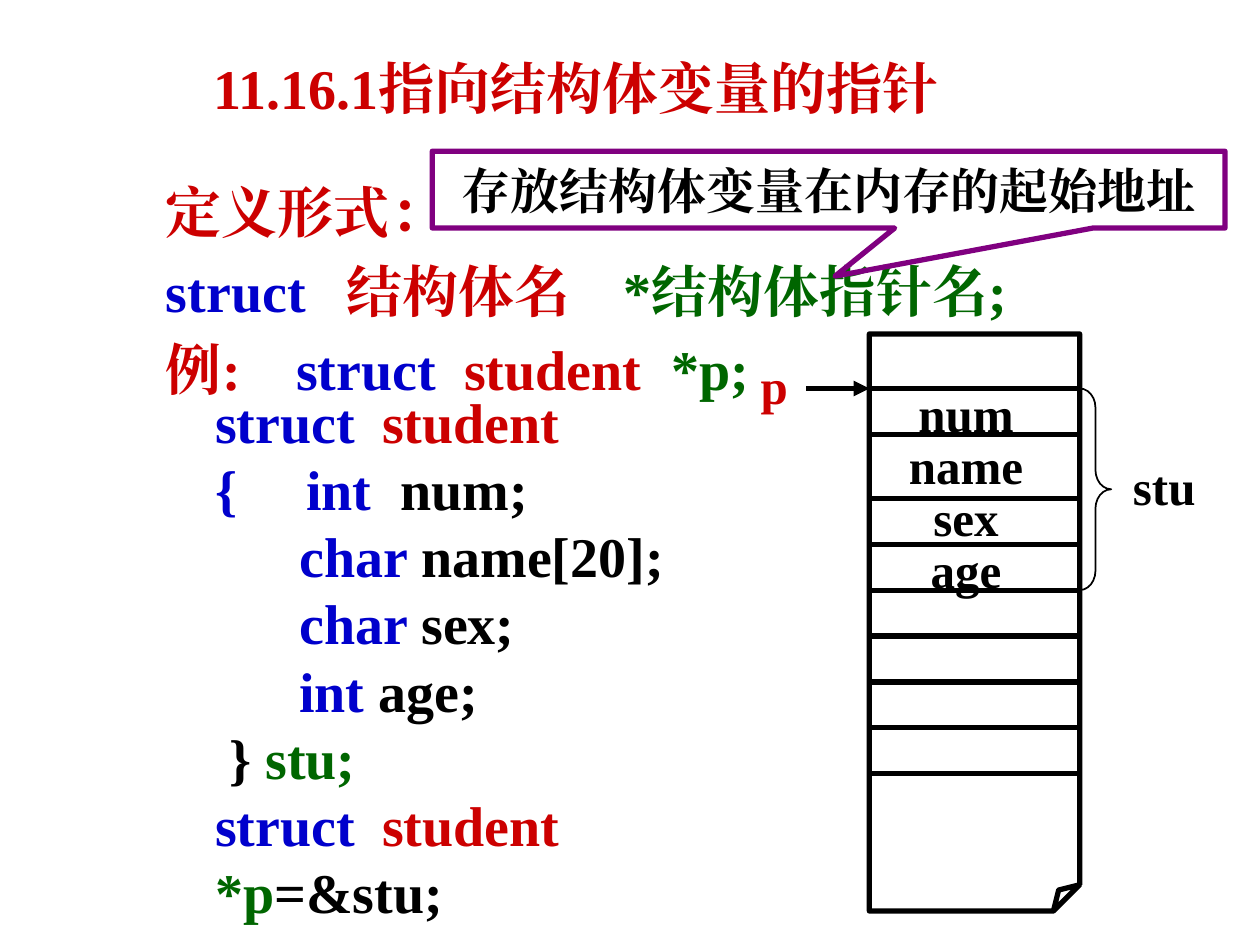
"""Build a slide on pointers to structure variables, with a memory diagram."""
from lxml import etree
from pptx import Presentation
from pptx import util as u
from pptx.dml.color import RGBColor
from pptx.enum import shapes, text
from pptx.oxml import ns

FONT = "Times New Roman"
BLACK, RED, BLUE, GREEN, PURPLE = "000000", "CC0000", "0000CC", "006600", "800080"


def color(value):
    return RGBColor.from_string(value)


def child(parent, tag, **attributes):
    return etree.SubElement(parent, ns.qn(tag), attributes)


def write(frame, lines, size=28, align="LEFT", pitch=None, gap=0, wrap=True, anchor="MIDDLE"):
    frame.word_wrap = wrap
    frame.vertical_anchor = text.MSO_ANCHOR[anchor]
    for index, (stops, spans) in enumerate(lines):
        para = frame.add_paragraph() if index else frame.paragraphs[0]
        para.alignment = text.PP_ALIGN[align]
        para.space_before = u.Pt(gap if index else 0)
        if pitch:
            para.line_spacing = u.Pt(pitch)
        if stops:
            tabs = child(para._p.get_or_add_pPr(), "a:tabLst")
            for stop in stops:
                child(tabs, "a:tab", pos=str(u.Pt(stop)), algn="l")
        for words, shade in spans:
            span = para.add_run()
            span.text = words
            span.font.size = u.Pt(size)
            span.font.bold = True
            span.font.name = FONT
            span.font.color.rgb = color(shade)
            child(span._r.get_or_add_rPr(), "a:ea", typeface=FONT)


class Sketch:
    def __init__(self, slide, weight=3):
        self.slide = slide
        self.weight = weight

    def text(self, left, top, width, height, lines, right_inset=7.2, **style):
        box = self.slide.shapes.add_textbox(*map(u.Pt, (left, top, width, height)))
        box.text_frame.margin_right = u.Pt(right_inset)
        write(box.text_frame, lines, **style)

    def label(self, center, middle, words, shade=BLACK):
        self.text(center - 40, middle - 20.5, 80, 41, [((), [(words, shade)])],
                  align="CENTER", wrap=False)

    def shape(self, kind, left, top, width, height, line=BLACK, weight=None, **adjust):
        shape = self.slide.shapes.add_shape(
            shapes.MSO_SHAPE[kind], *map(u.Pt, (left, top, width, height)))
        shape.shadow.inherit = False
        shape.fill.background()
        shape.line.color.rgb = color(line)
        shape.line.width = u.Pt(weight or self.weight)
        guides = shape._element.spPr.find(".//" + ns.qn("a:avLst"))
        guides.clear()
        for name, value in adjust.items():
            child(guides, "a:gd", name=name, fmla=f"val {value}")
        return shape

    def line(self, left, right, y, arrow=False):
        line = self.slide.shapes.add_connector(
            shapes.MSO_CONNECTOR.STRAIGHT, *map(u.Pt, (left, y, right, y)))
        line.line.color.rgb = color(BLACK)
        line.line.width = u.Pt(self.weight)
        if arrow:
            child(line.line._get_or_add_ln(), "a:tailEnd", type="triangle")
        child(line._element.spPr, "a:effectLst")


def main():
    deck = Presentation()
    deck.slide_width, deck.slide_height = u.Pt(720), u.Pt(540)
    sketch = Sketch(deck.slides.add_slide(deck.slide_layouts[6]))

    definition = [
        ((), [("定义形式：", RED)]),
        ((103.4, 261.7), [("struct\t", BLUE), ("结构体名\t", RED), ("*结构体指针名;", GREEN)]),
        ((74.3, 170.3, 288.6), [("例:\t", RED), ("struct\t", BLUE), ("student\t", RED),
                                ("*p;", GREEN)]),
    ]
    sketch.text(87.8, 98, 515.5, 147.6, definition, size=32, pitch=38.4, gap=6.4, anchor="TOP")

    callout = sketch.shape("RECTANGULAR_CALLOUT", 247, 86.4, 453, 43.9, PURPLE,
                           adj1=800, adj2=112700)
    write(callout.text_frame, [((), [("存放结构体变量在内存的起始地址", BLACK)])], align="CENTER")

    left, right, first_row, third_row, step = 496.8, 617, 222, 285, 26.17
    sketch.shape("FOLDED_CORNER", left, 190.8, right - left, 329.8, adj=12500)
    rows = [first_row, 248.2] + [third_row + step * index for index in range(7)]
    for y in rows:
        sketch.line(left, right, y)
    for index, member in enumerate(["num", "name", "sex", "age"]):
        sketch.label(552, 235.8 + 29.7 * index, member)

    sketch.shape("RIGHT_BRACE", right, first_row, 18, 115.2, weight=1, adj1=61100, adj2=50000)
    sketch.label(665.3, 277.6, "stu")
    sketch.line(460.8, left, first_row, arrow=True)
    sketch.label(442.4, 220, "p", RED)

    code = [
        ((95.4,), [("struct\t", BLUE), ("student", RED)]),
        ((52, 105.7), [("{\tint\t", BLUE), ("num;", BLACK)]),
        ((), [("      char ", BLUE), ("name[20];", BLACK)]),
        ((), [("      char ", BLUE), ("sex;", BLACK)]),
        ((), [("      int", BLUE), (" age;", BLACK)]),
        ((), [(" } ", BLACK), ("stu;", GREEN)]),
        ((95.4,), [("struct\t", BLUE), ("student ", RED), ("*p", GREEN), ("=&stu;", BLACK)]),
    ]
    sketch.text(115.9, 237, 357.8, 275.8, code, right_inset=40, size=32, pitch=38.4)

    title = [((), [("11.16.1指向结构体变量的指针", RED)])]
    sketch.text(102.4, 27, 453.6, 45.4, title, size=32, align="CENTER", pitch=38.4,
                anchor="TOP")
    deck.save("out.pptx")


if __name__ == "__main__":
    main()
